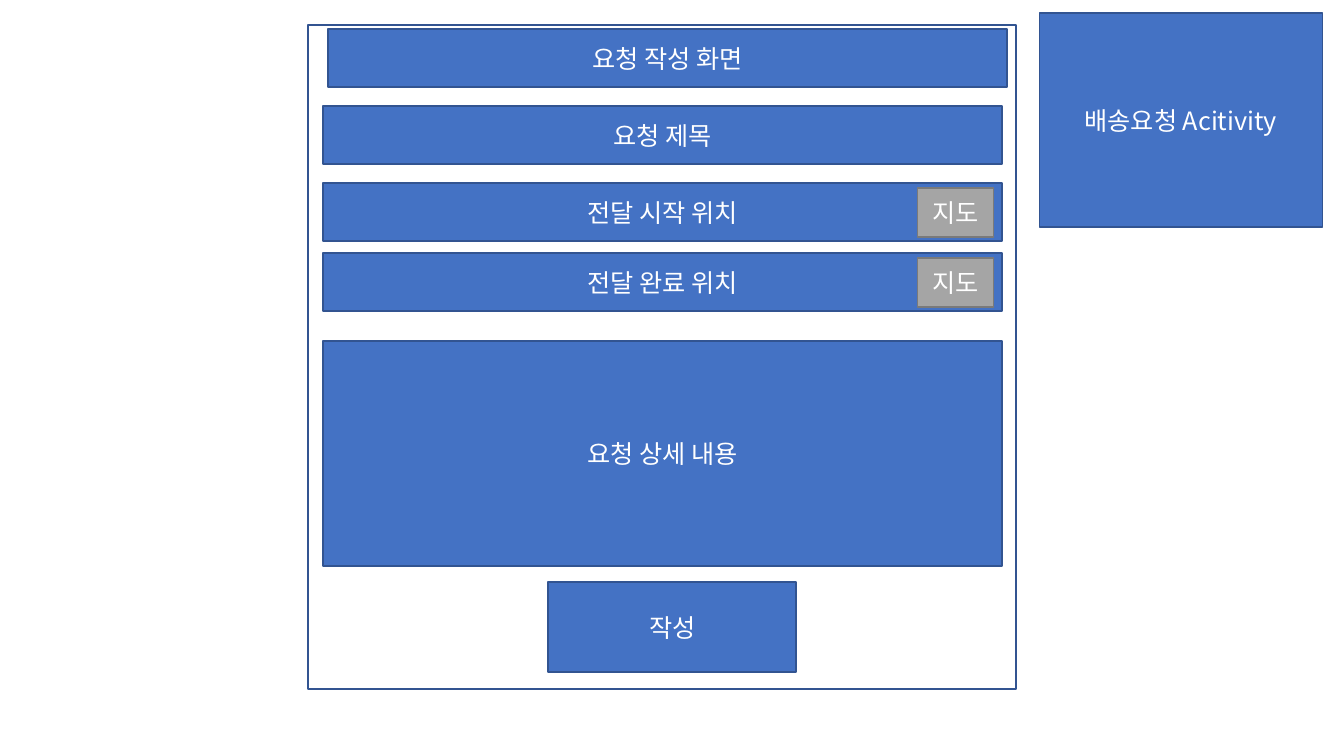
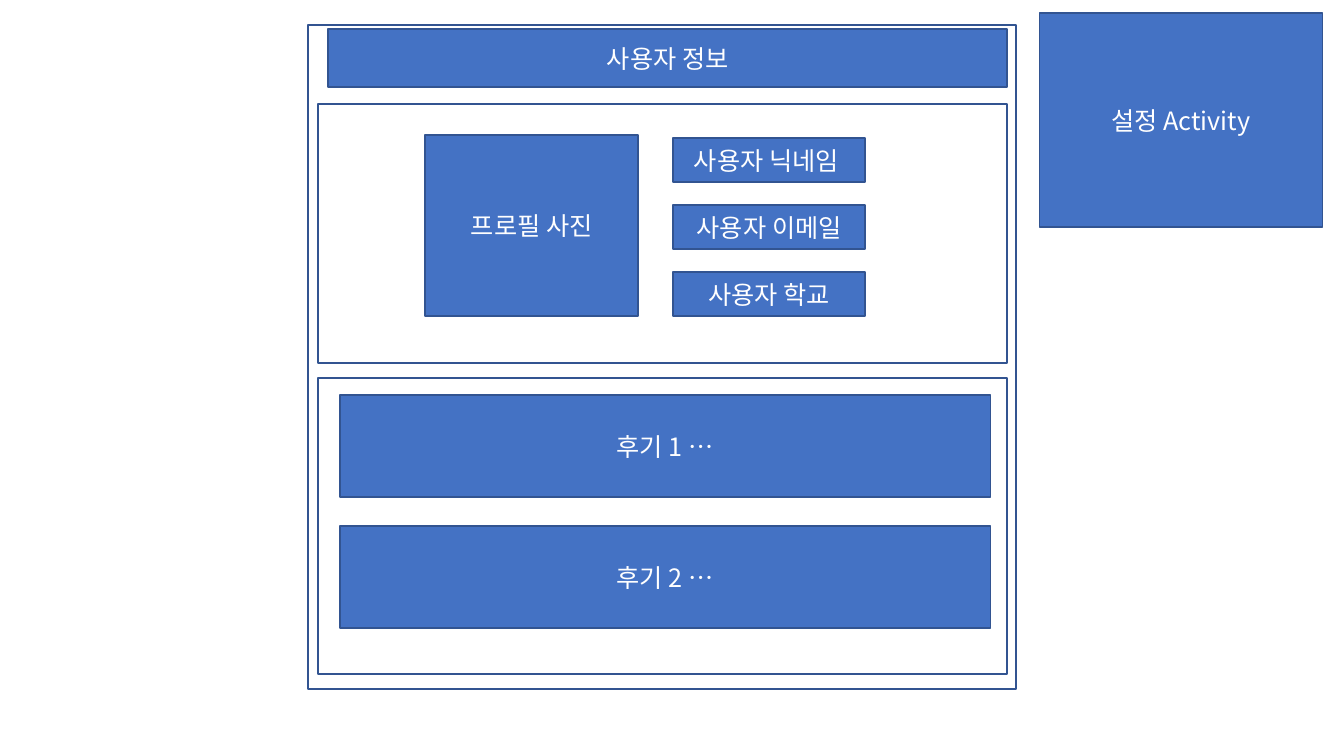
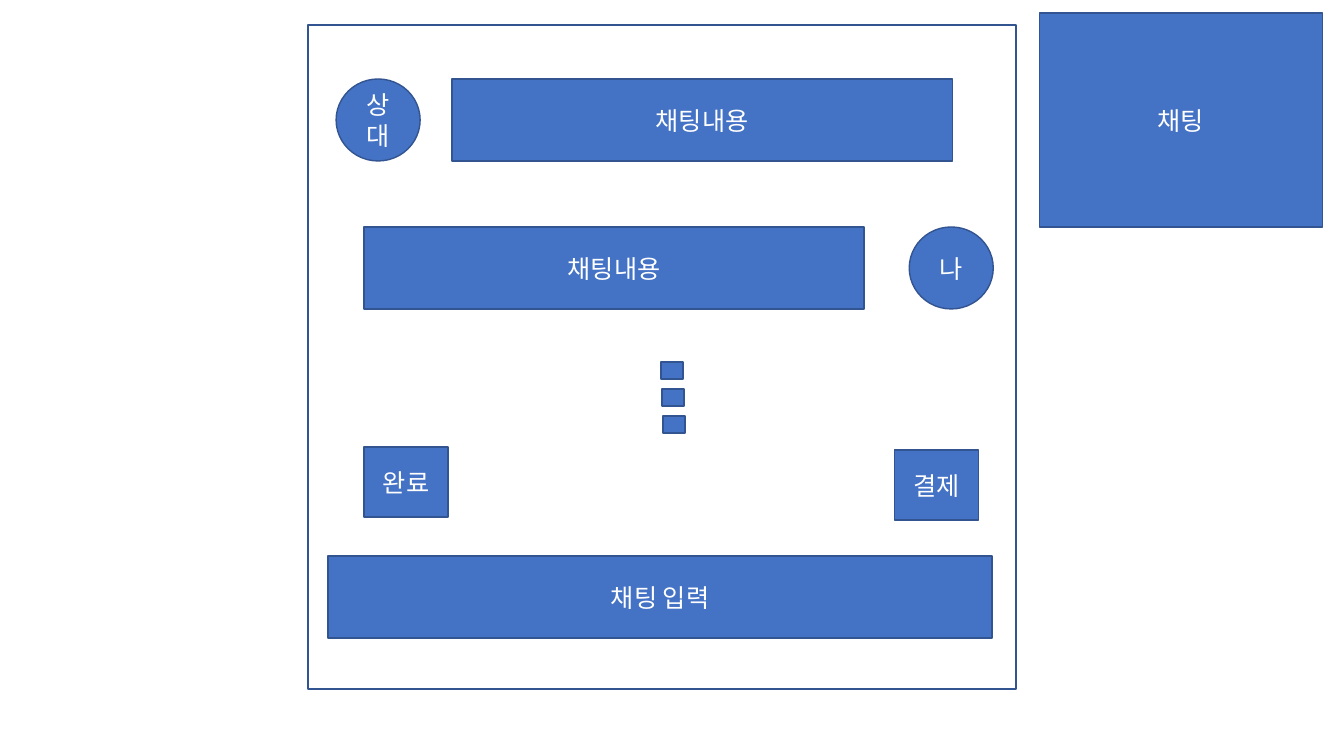
from pptx import Presentation
from pptx.dml.color import RGBColor
from pptx.enum.shapes import MSO_SHAPE
from pptx.enum.text import MSO_ANCHOR, MSO_AUTO_SIZE, PP_ALIGN
from pptx.oxml.ns import qn
from pptx.util import Emu, Inches, Pt

BLUE = RGBColor(0x44, 0x72, 0xC4)
NAVY = RGBColor(0x32, 0x54, 0x91)
GRAY = RGBColor(0xA5, 0xA5, 0xA5)
DARK = RGBColor(0x7A, 0x7A, 0x7A)
WHITE = RGBColor(0xFF, 0xFF, 0xFF)
FONT = "Noto Sans CJK KR"
SCALE = 914400 / 100.8


def px(n):
    return Emu(round(n * SCALE))


class Deck:
    def __init__(self):
        self.prs = Presentation()
        self.prs.slide_width = Inches(13.33)
        self.prs.slide_height = Inches(7.5)

    def page(self, name):
        """Start a slide with its activity label and screen frame."""
        layout = self.prs.slide_layouts[5]
        self.slide = self.prs.slides.add_slide(layout)
        title = self.slide.shapes.title
        title.left, title.top = px(1039), px(13)
        title.width, title.height = px(283), px(214)
        self.paint(title, BLUE, NAVY)
        self.label(title, name)
        self.panel(308, 25, 708, 664)

    def paint(self, shape, fill, line):
        shape.fill.solid()
        shape.fill.fore_color.rgb = fill
        shape.line.color.rgb = line
        shape.line.width = Pt(1)

    def label(self, shape, text):
        frame = shape.text_frame
        frame.text = text
        frame.word_wrap = True
        frame.auto_size = MSO_AUTO_SIZE.NONE
        frame.vertical_anchor = MSO_ANCHOR.MIDDLE
        para = frame.paragraphs[0]
        para.alignment = PP_ALIGN.CENTER
        for run in para.runs:
            font = run.font
            font.name, font.size = FONT, Pt(18)
            font.color.rgb = WHITE
            east = font._element.makeelement(qn("a:ea"), {"typeface": FONT})
            font._element.find(qn("a:latin")).addnext(east)

    def box(self, x, y, w, h, text="", fill=BLUE, line=NAVY,
            kind=MSO_SHAPE.RECTANGLE):
        shape = self.slide.shapes.add_shape(kind, px(x), px(y), px(w), px(h))
        shape.shadow.inherit = False
        self.paint(shape, fill, line)
        if text:
            self.label(shape, text)

    def panel(self, x, y, w, h):
        self.box(x, y, w, h, fill=WHITE)

    def header(self, text):
        self.box(328, 29, 679, 58, text)

    def field(self, y, text, h=58):
        self.box(323, y, 679, h, text)

    def place(self, y, text):
        """A location field with its map button."""
        self.field(y, text)
        self.box(917, y + 5, 76, 49, "지도", GRAY, DARK)

    def chat(self, y, who, left, x):
        """A message and the round badge of its sender."""
        self.box(left, y, 84, 82, who, kind=MSO_SHAPE.OVAL)
        self.box(x, y, 500, 82, "채팅내용")

    def button(self, x, y, text):
        self.box(x, y, 84, 70, text)


deck = Deck()

# Delivery request form
deck.page("배송요청 Acitivity")
deck.header("요청 작성 화면")
deck.field(106, "요청 제목")
deck.place(183, "전달 시작 위치")
deck.place(253, "전달 완료 위치")
deck.field(341, "요청 상세 내용", 225)
deck.box(548, 582, 248, 90, "작성")

# User settings: profile, then reviews
deck.page("설정 Activity")
deck.header("사용자 정보")
deck.panel(318, 104, 689, 259)
deck.box(425, 135, 213, 181, "프로필 사진")
for i, text in enumerate(["사용자 닉네임 ", "사용자 이메일", "사용자 학교"]):
    deck.box(673, 138 + 67 * i, 192, 44, text)
deck.panel(318, 378, 689, 296)
for i in range(2):
    deck.box(340, 395 + 131 * i, 650, 102, f"후기 {i + 1} …")

# Chat: messages, more dots, buttons and input
deck.page("채팅")
deck.chat(79, "상대", 336, 452)
deck.chat(227, "나", 909, 364)
for i in range(3):
    deck.box(661 + i, 362 + 27 * i, 22, 17)
deck.button(364, 447, "완료")
deck.button(894, 450, "결제")
deck.box(328, 556, 664, 82, "채팅 입력")

deck.prs.save("out.pptx")
